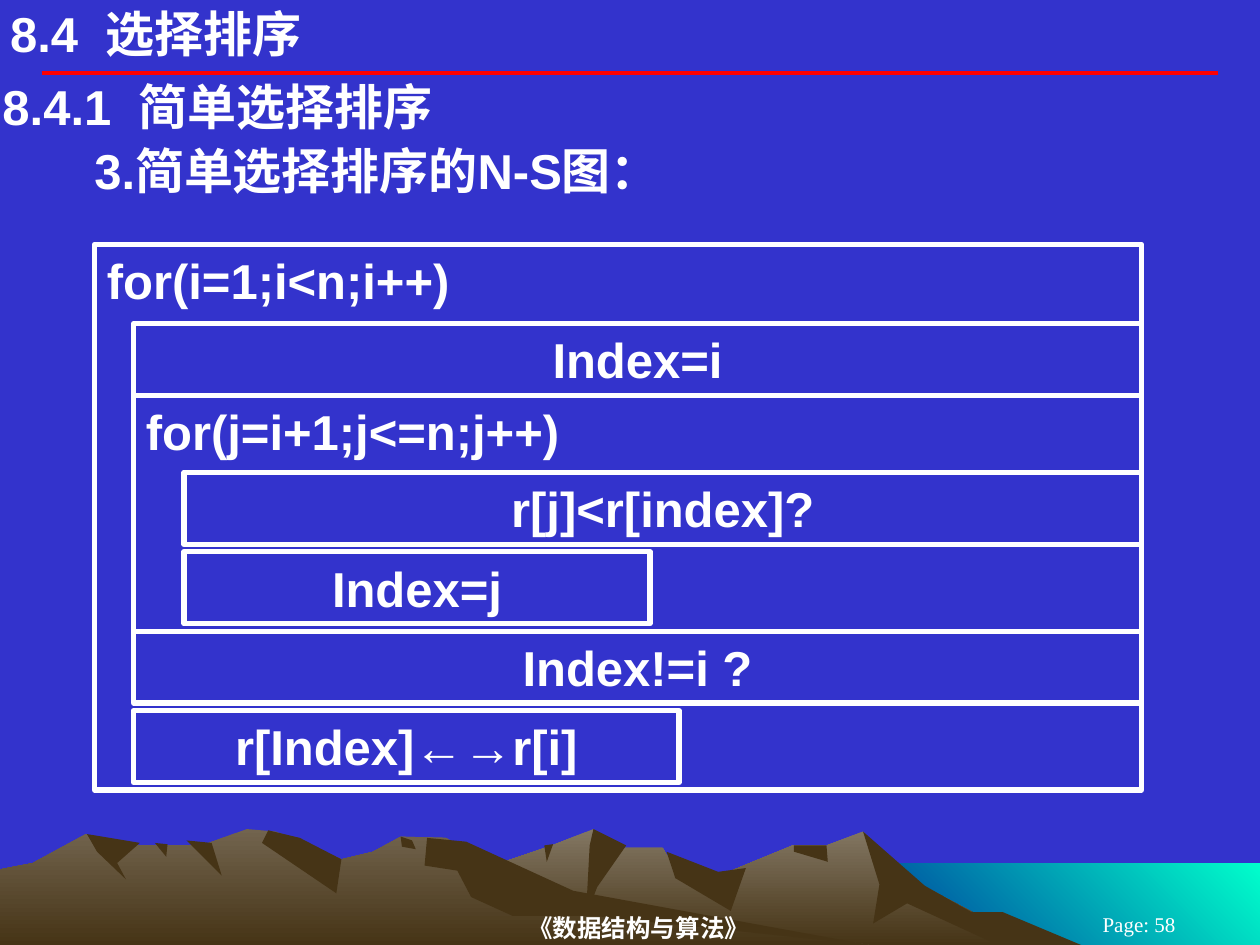
import pptx
import pptx.util
import pptx.dml.color
import pptx.enum.shapes
import pptx.enum.text
import pptx.oxml

Inches, Pt = pptx.util.Inches, pptx.util.Pt
ALIGN = pptx.enum.text.PP_ALIGN
ANCHOR = pptx.enum.text.MSO_ANCHOR

COLORS = {
    "background": "3333CC", "text": "FFFFFF", "rule": "FF0000",
    "sea_light": "00FFCC", "sea_dark": "003399",
    "far_rock": "837763", "near_rock": "72644E", "shade": "463416",
}
HEADING = {"size": Pt(28), "bold": True, "name": "Arial"}
FOOTER = {"size": Pt(14), "bold": True, "name": "Times New Roman"}
PAGE = {"size": Pt(12), "bold": False, "name": "Times New Roman"}

# Scenery: fill (one colour, or two colours and an angle), outline in inches
SEA = ("sea_light", "sea_dark", 225)
FAR = ("far_rock", "shade", 270)
NEAR = ("near_rock", "shade", 270)
SHADE = ("shade",)
SCENERY = [
    (SEA, [(10, 7.5), (6.83, 7.5), (6.83, 6.85), (10, 6.85)]),
    (FAR, [(8.21, 7.5), (7.23, 6.98), (6.85, 6.6), (6.56, 6.71), (6.29, 6.71),
           (5.66, 6.97), (5.36, 6.9), (5.26, 6.73), (4.86, 6.73), (4.71, 6.58),
           (4.38, 6.71), (3.27, 7.09), (2.58, 7.5)]),
    (SHADE, [(6.85, 6.6), (7.34, 7.03), (7.71, 7.24), (7.96, 7.24), (8.58, 7.5),
             (7.92, 7.5), (7.2, 7.17), (6.93, 7.33), (6.98, 7.02)]),
    (SHADE, [(4.71, 6.58), (4.97, 6.71), (4.74, 7.04), (4.65, 7.27), (4.68, 6.71)]),
    (SHADE, [(5.29, 6.76), (5.7, 6.92), (5.92, 6.89), (5.8, 7.23), (5.36, 6.97)]),
    (SHADE, [(6.3, 6.71), (6.56, 6.71), (6.57, 6.84), (6.3, 6.76)]),
    (SHADE, [(4.32, 6.71), (4.39, 6.7), (4.34, 6.84)]),
    (NEAR, [(0, 7.5), (0, 6.9), (0.26, 6.85), (0.68, 6.62), (0.94, 6.71),
            (1.6, 6.71), (1.96, 6.58), (2.19, 6.6), (2.71, 6.82), (2.96, 6.76),
            (3.18, 6.64), (3.54, 6.65), (4.32, 7.12), (6.9, 7.5)]),
    (SHADE, [(2.13, 6.59), (2.38, 6.65), (2.71, 6.82), (2.67, 7.09), (2.08, 6.69)]),
    (SHADE, [(3.39, 6.65), (3.7, 6.68), (4.55, 7.07), (6.9, 7.5), (4.72, 7.27),
             (4.07, 7.27), (3.74, 7.12), (3.63, 6.91), (3.37, 6.87)]),
    (SHADE, [(3.18, 6.64), (3.27, 6.67), (3.3, 6.74), (3.19, 6.72)]),
    (SHADE, [(1.48, 6.67), (1.68, 6.69), (1.76, 6.95)]),
    (SHADE, [(1.23, 6.69), (1.33, 6.7), (1.32, 6.8)]),
    (SHADE, [(0.69, 6.62), (1.11, 6.69), (0.93, 6.85), (1, 6.98), (0.77, 6.76)]),
]

TITLE = "8.4  选择排序"
# Text, position and size, margins (side, top), alignment, anchor, font
LABELS = [
    ("《数据结构与算法》", (2.04, 7.22, 6.06, 0.28), (0, 0.01), ALIGN.CENTER, ANCHOR.MIDDLE, FOOTER),
    ("Page: 58", (8.25, 7.25, 1.58, 0.17), (0.1, 0.05), ALIGN.CENTER, ANCHOR.MIDDLE, PAGE),
    ("8.4.1  简单选择排序", (0, 0.6, 10, 0.49), (0.02, 0.01), ALIGN.LEFT, ANCHOR.TOP, HEADING),
    ("3.简单选择排序的N-S图：", (0.65, 1.07, 9.31, 0.57), (0.1, 0.05), ALIGN.LEFT, ANCHOR.TOP, HEADING),
]

# N-S diagram: text, nesting level, top, height, width (None reaches the right edge)
LEVEL_LEFT = [0.75, 1.06, 1.46]
DIAGRAM_RIGHT, ROW = 9.06, 0.57
BOXES = [
    ("for(i=1;i<n;i++)", 0, 1.94, 4.33, None),
    ("Index=i", 1, 2.57, ROW, None),
    ("r[j]<r[index]?", 2, 3.75, ROW, None),
    ("Index=j", 2, 4.38, ROW, 3.7),
    ("for(j=i+1;j<=n;j++)", 1, 3.14, 1.87, None),
    ("Index!=i ?", 1, 5.01, ROW, None),
    ("r[Index]←→r[i]", 1, 5.64, ROW, 4.33),
]


def rgb(name):
    return pptx.dml.color.RGBColor.from_string(COLORS[name])


def set_text(sp, text, margins, align, anchor, font):
    tf = sp.text_frame
    side, top = map(Inches, margins)
    frame = {"word_wrap": True, "auto_size": pptx.enum.text.MSO_AUTO_SIZE.NONE,
             "vertical_anchor": anchor, "margin_left": side, "margin_right": side,
             "margin_top": top, "margin_bottom": top}
    for name, value in frame.items():
        setattr(tf, name, value)
    p = tf.paragraphs[0]
    p.alignment = align
    r = p.add_run()
    r.text = text
    for name, value in font.items():
        setattr(r.font, name, value)
    r.font.color.rgb = rgb("text")


def add_scenery(s, fill, points):
    start, *rest = [(Inches(x), Inches(y)) for x, y in points]
    builder = s.shapes.build_freeform(*start)
    builder.add_line_segments(rest, close=True)
    sp = builder.convert_to_shape()
    sp.shadow.inherit = False
    sp.line.fill.background()
    if len(fill) == 1:
        sp.fill.solid()
        sp.fill.fore_color.rgb = rgb(fill[0])
        return
    *stops, angle = fill
    sp.fill.gradient()
    sp.fill.gradient_angle = angle
    for position, (stop, name) in enumerate(zip(sp.fill.gradient_stops, stops)):
        stop.position = position
        stop.color.rgb = rgb(name)


def add_box(s, text, level, top, height, width):
    left = LEVEL_LEFT[level]
    size = (left, top, width or DIAGRAM_RIGHT - left, height)
    sp = s.shapes.add_shape(pptx.enum.shapes.MSO_SHAPE.RECTANGLE, *map(Inches, size))
    sp.shadow.inherit = False
    sp.fill.background()
    sp.line.color.rgb = rgb("text")
    sp.line.width = Pt(3)
    align = ALIGN.CENTER if height == ROW else ALIGN.LEFT
    set_text(sp, text, (0.1, 0.05), align, ANCHOR.TOP, HEADING)


def main():
    prs = pptx.Presentation()
    prs.slide_width, prs.slide_height = Inches(10), Inches(7.5)
    s = prs.slides.add_slide(prs.slide_layouts[5])
    s.background.fill.solid()
    s.background.fill.fore_color.rgb = rgb("background")

    # Title
    title = s.shapes.title
    title.left, title.top, title.width, title.height = map(Inches, (0.08, 0.03, 6.5, 0.47))
    set_text(title, TITLE, (0, 0), ALIGN.LEFT, ANCHOR.TOP, HEADING)

    # Mountains and sea
    for fill, points in SCENERY:
        add_scenery(s, fill, points)

    # Rule under the title
    rule = s.shapes.add_connector(pptx.enum.shapes.MSO_CONNECTOR.STRAIGHT,
                                  *map(Inches, (0.33, 0.58, 9.67, 0.58)))
    rule.line.color.rgb = rgb("rule")
    rule.line.width = Pt(2.25)
    rule._element.spPr.append(pptx.oxml.parse_xml(
        '<a:effectLst xmlns:a="http://schemas.openxmlformats.org/drawingml/2006/main"/>'))

    # Footer, page number and headings
    for text, place, *style in LABELS:
        set_text(s.shapes.add_textbox(*map(Inches, place)), text, *style)

    # N-S diagram
    for box in BOXES:
        add_box(s, *box)

    prs.save("out.pptx")


if __name__ == "__main__":
    main()
